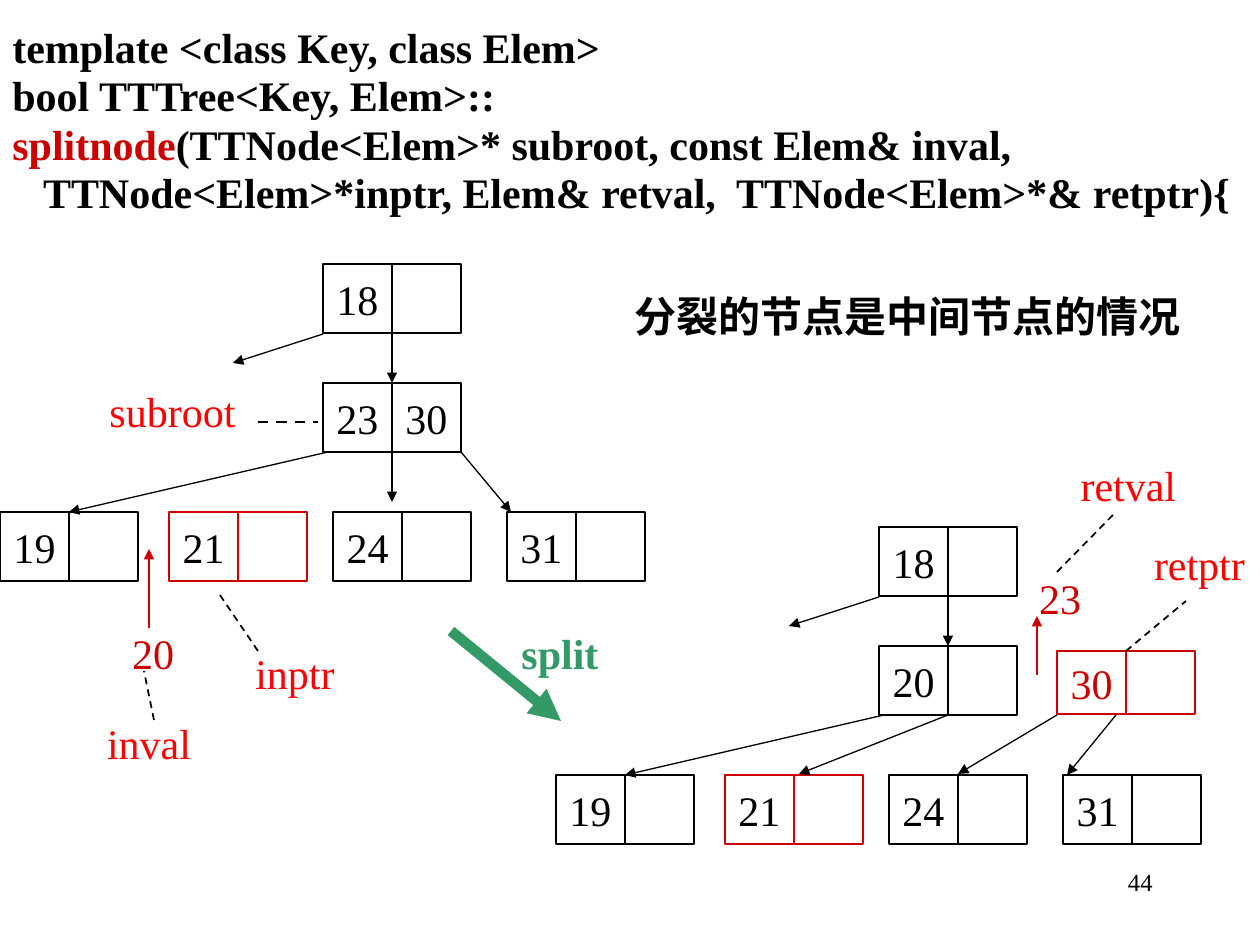
"""Build the slide on splitting an internal 2-3 tree node."""
from lxml import etree
from pptx import Presentation
from pptx import util as u
from pptx.dml.color import RGBColor
from pptx.enum import dml, shapes, text
from pptx.oxml.ns import qn

EMU_PER_PX = 914400 / 126
FONT = "Times New Roman"
BLACK = RGBColor(0x00, 0x00, 0x00)
CRIMSON = RGBColor(0xCC, 0x00, 0x00)
RED = RGBColor(0xFF, 0x00, 0x00)
GREEN = RGBColor(0x33, 0x99, 0x66)

CELL = 69
LABEL_HEIGHT = 63
AFTER_SPLIT = (556, 263)

SIGNATURE = [
    [("template <class Key, class Elem>", BLACK)],
    [("bool TTTree<Key, Elem>::", BLACK)],
    [("splitnode", CRIMSON),
     ("(TTNode<Elem>* subroot, const Elem& inval,", BLACK)],
    [("   TTNode<Elem>*inptr, Elem& retval,  TTNode<Elem>*& retptr){", BLACK)],
]
LEAVES = [(0, "19", BLACK), (169, "21", CRIMSON),
          (333, "24", BLACK), (507, "31", BLACK)]
LABELS = [
    ("subroot", 96, 379, 153, RED),
    ("inptr", 241, 641, 108, RED),
    ("inval", 92, 711, 114, RED),
    ("20", 118, 621, 70, CRIMSON),
    ("retval", 1066, 453, 125, RED),
    ("retptr", 1139, 532, 121, RED),
    ("23", 1025, 566, 70, CRIMSON),
]
BOLD_LABELS = [
    ("split", 507, 621, 106, GREEN),
    ("分裂的节点是中间节点的情况", 620, 284, 575, BLACK),
]
SHARED_ARROWS = [
    ((323, 334), (233, 363)),
    ((392, 334), (392, 383)),
    ((328, 452), (69, 512)),
]
BEFORE_ARROWS = [
    ((392, 452), (392, 502)),
    ((461, 452), (511, 512)),
]
AFTER_ARROWS = [
    ((948, 715), (799, 774)),
    ((1057, 715), (958, 774)),
    ((1116, 715), (1067, 775)),
]
UP_ARROWS = [
    ((149, 628), (149, 549)),
    ((1037, 675), (1037, 616)),
]
POINTERS = [
    ((258, 651), (220, 595)),
    ((154, 720), (144, 671)),
    ((1057, 572), (1113, 515)),
    ((1126, 651), (1186, 601)),
]


def px(*lengths):
    """Turn pixel lengths into EMU."""
    return [u.Emu(round(length * EMU_PER_PX)) for length in lengths]


def style_text(paragraph, colour, size=24, bold=False):
    """Set the font of a whole paragraph."""
    font = paragraph.font
    font.name, font.size, font.bold = FONT, u.Pt(size), bold
    font.color.rgb = colour


def add_label(slide, words, left, top, width, colour, bold=False, size=24,
              align=text.PP_ALIGN.CENTER):
    """Add one line of text in an unfilled box."""
    box = slide.shapes.add_textbox(*px(left, top, width, LABEL_HEIGHT))
    box.text_frame.word_wrap = False
    para = box.text_frame.paragraphs[0]
    para.text, para.alignment = words, align
    style_text(para, colour, size, bold)


def add_signature(slide):
    """Add the function signature across the slide."""
    frame = slide.shapes.add_textbox(*px(0, 27, 1260, 893)).text_frame
    frame.word_wrap = True
    for index, spans in enumerate(SIGNATURE):
        para = frame.add_paragraph() if index else frame.paragraphs[0]
        para.line_spacing = 0.75
        para.space_before = u.Pt(6 if index else 0)
        style_text(para, BLACK, bold=True)
        for words, colour in spans:
            span = para.add_run()
            span.text = words
            span.font.color.rgb = colour


def add_node(slide, left, top, values, colour=BLACK, height=CELL,
             text_colour=BLACK):
    """Add a tree node of two key cells."""
    for index, value in enumerate(values):
        cell = slide.shapes.add_shape(
            shapes.MSO_SHAPE.RECTANGLE,
            *px(left + index * CELL, top, CELL, height))
        cell.shadow.inherit = False
        cell.fill.background()
        cell.line.color.rgb = colour
        cell.line.width = u.Pt(0.75)
        frame = cell.text_frame
        frame.word_wrap = False
        frame.vertical_anchor = text.MSO_ANCHOR.MIDDLE
        if value:
            para = frame.paragraphs[0]
            para.text, para.alignment = value, text.PP_ALIGN.CENTER
            style_text(para, text_colour)


def add_line(slide, start, end, colour=BLACK, width=0.75, dashed=False):
    """Add a dashed pointer or a solid arrow."""
    line = slide.shapes.add_connector(
        shapes.MSO_CONNECTOR.STRAIGHT, *px(*start, *end))
    line.line.color.rgb = colour
    line.line.width = u.Pt(width)
    if dashed:
        line.line.dash_style = dml.MSO_LINE.DASH
    else:
        outline = line._element.spPr.find(qn("a:ln"))
        etree.SubElement(outline, qn("a:tailEnd"), type="triangle")
    etree.SubElement(line._element.spPr, qn("a:effectLst"))


def add_tree(slide, offset, middle_values):
    """Add the root, middle node, leaves and arrows common to both trees."""
    across, down = offset
    add_node(slide, 323 + across, 264 + down, ("18", ""))
    add_node(slide, 323 + across, 383 + down, middle_values)
    for left, value, colour in LEAVES:
        add_node(slide, left + across, 512 + down, (value, ""), colour)
    for (x1, y1), (x2, y2) in SHARED_ARROWS:
        add_line(slide, (x1 + across, y1 + down), (x2 + across, y2 + down))


def main():
    """Build and save the deck."""
    deck = Presentation()
    deck.slide_width, deck.slide_height = px(1260, 945)
    page = deck.slides.add_slide(deck.slide_layouts.get_by_name("Blank"))
    add_signature(page)
    add_tree(page, (0, 0), ("23", "30"))
    add_tree(page, AFTER_SPLIT, ("20", ""))
    add_node(page, 1057, 651, ("30", ""), CRIMSON, LABEL_HEIGHT, CRIMSON)
    for start, end in BEFORE_ARROWS + AFTER_ARROWS:
        add_line(page, start, end)
    for start, end in UP_ARROWS:
        add_line(page, start, end, CRIMSON)
    for start, end in POINTERS:
        add_line(page, start, end, width=1, dashed=True)
    add_line(page, (258, 422), (318, 422), width=1.5, dashed=True)
    add_line(page, (451, 631), (561, 721), GREEN, 6)
    for label in LABELS:
        add_label(page, *label)
    for label in BOLD_LABELS:
        add_label(page, *label, bold=True)
    add_label(page, "44", 903, 861, 262, BLACK, size=14,
              align=text.PP_ALIGN.RIGHT)
    deck.save("out.pptx")


if __name__ == "__main__":
    main()
